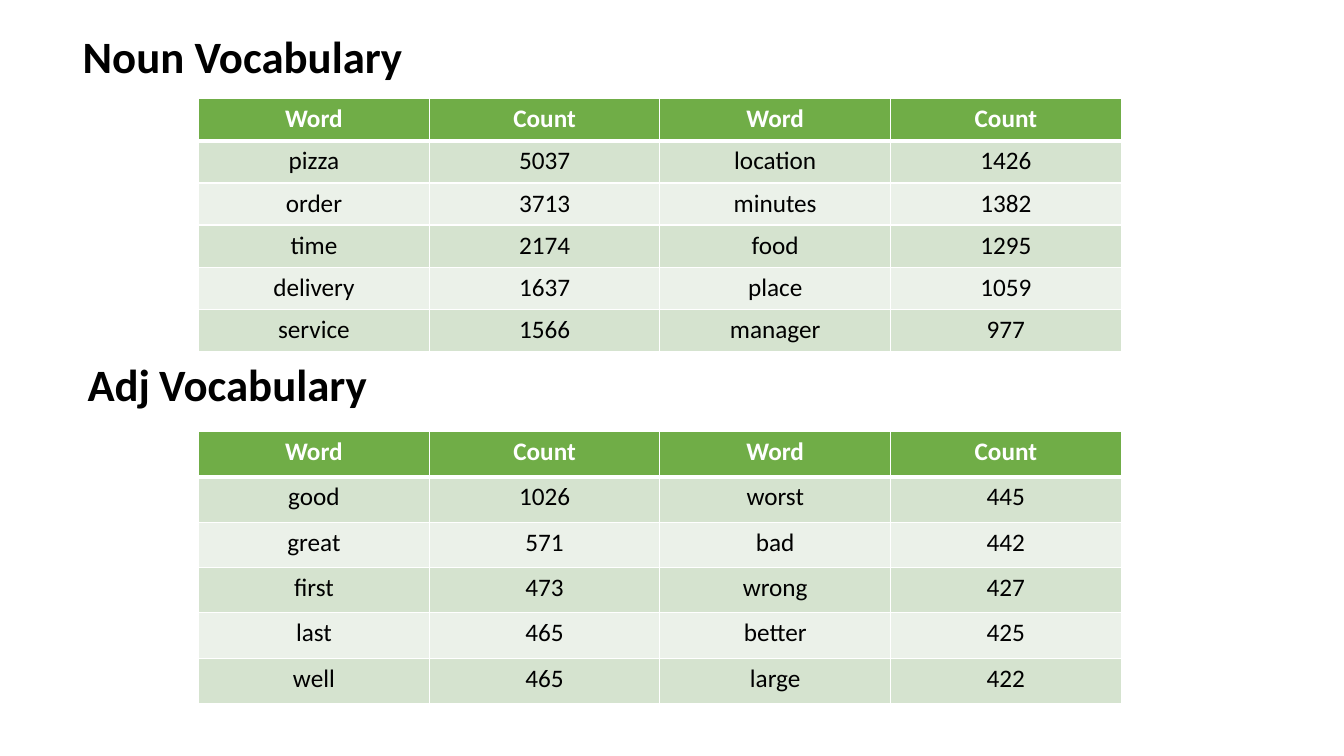
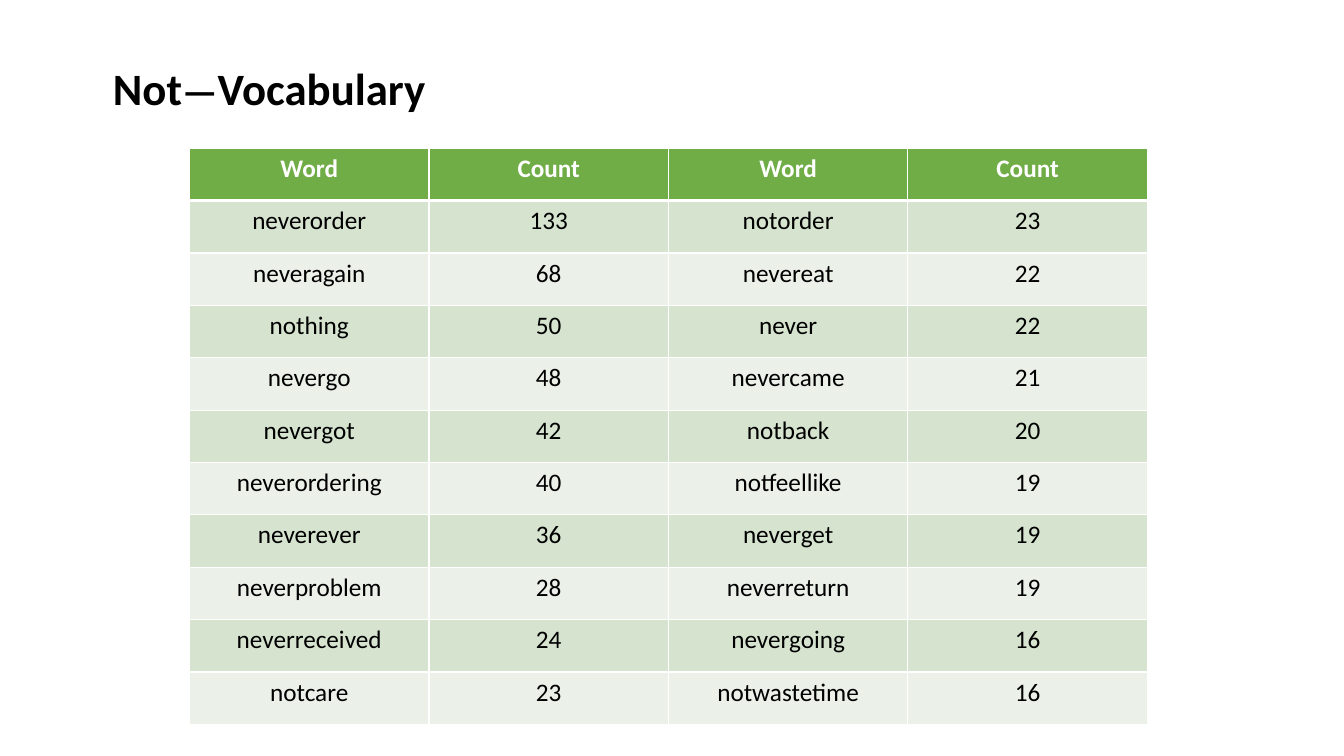
from lxml import etree
from pptx import Presentation
from pptx.dml.color import RGBColor
from pptx.enum import text
from pptx.oxml import ns
from pptx.util import Inches, Pt

COLORS = {
    "header": "70AD47",
    "band_dark": "D5E3CF",
    "band_light": "EBF1E9",
    "white": "FFFFFF",
    "black": "000000",
}
FONT = "Calibri"
COLUMNS = ("Word", "Count", "Word", "Count")

NOUNS = [
    ("pizza", 5037, "location", 1426),
    ("order", 3713, "minutes", 1382),
    ("time", 2174, "food", 1295),
    ("delivery", 1637, "place", 1059),
    ("service", 1566, "manager", 977),
]
ADJECTIVES = [
    ("good", 1026, "worst", 445),
    ("great", 571, "bad", 442),
    ("first", 473, "wrong", 427),
    ("last", 465, "better", 425),
    ("well", 465, "large", 422),
]
NEGATIONS = [
    ("neverorder", 133, "notorder", 23),
    ("neveragain", 68, "nevereat", 22),
    ("nothing", 50, "never", 22),
    ("nevergo", 48, "nevercame", 21),
    ("nevergot", 42, "notback", 20),
    ("neverordering", 40, "notfeellike", 19),
    ("neverever", 36, "neverget", 19),
    ("neverproblem", 28, "neverreturn", 19),
    ("neverreceived", 24, "nevergoing", 16),
    ("notcare", 23, "notwastetime", 16),
]


class Deck:
    """Shared style and the slide being built."""

    def __init__(self):
        self.prs = Presentation()
        self.prs.slide_width = Inches(13.33)
        self.prs.slide_height = Inches(7.5)
        self.s = None

    def new_slide(self):
        self.s = self.prs.slides.add_slide(self.prs.slide_layouts[5])

    def style(self, r, size, color, bold):
        r.font.name = FONT
        r.font.size = Pt(size)
        r.font.bold = bold
        r.font.color.rgb = RGBColor.from_string(COLORS[color])

    def heading(self, sp, pieces, left, top):
        """Place a heading made of (text, size) pieces."""
        sp.left, sp.top = Inches(left), Inches(top)
        sp.width, sp.height = Inches(3.83), Inches(0.64)
        tf = sp.text_frame
        tf.word_wrap = True
        tf.auto_size = text.MSO_AUTO_SIZE.SHAPE_TO_FIT_TEXT
        tf.vertical_anchor = text.MSO_ANCHOR.TOP
        p = tf.paragraphs[0]
        p.alignment = text.PP_ALIGN.LEFT
        for words, size in pieces:
            r = p.add_run()
            r.text = words
            self.style(r, size, "black", True)

    def title(self, pieces, left, top):
        self.heading(self.s.shapes.title, pieces, left, top)

    def subtitle(self, pieces, left, top):
        sp = self.s.shapes.add_textbox(0, 0, Inches(1), Inches(1))
        self.heading(sp, pieces, left, top)

    def borders(self, cell, top, bottom):
        tc_pr = cell._tc.get_or_add_tcPr()
        for side, width in (("L", 1), ("R", 1), ("T", top), ("B", bottom)):
            ln = etree.SubElement(tc_pr, ns.qn("a:ln" + side), w=str(Pt(width)))
            fill = etree.SubElement(ln, ns.qn("a:solidFill"))
            etree.SubElement(fill, ns.qn("a:srgbClr"), val=COLORS["white"])

    def table(self, rows, left, top, width, row_height):
        rows = [COLUMNS, *rows]
        tbl = self.s.shapes.add_table(
            len(rows), len(COLUMNS), Inches(left), Inches(top),
            Inches(width), Inches(row_height * len(rows))).table
        for i, values in enumerate(rows):
            header = i == 0
            band = "header" if header else "band_dark" if i % 2 else "band_light"
            for j, value in enumerate(values):
                cell = tbl.cell(i, j)
                # The rule under the header is thicker
                self.borders(cell, 3 if i == 1 else 1, 3 if header else 1)
                cell.fill.solid()
                cell.fill.fore_color.rgb = RGBColor.from_string(COLORS[band])
                cell.text_frame.text = str(value)
                p = cell.text_frame.paragraphs[0]
                p.alignment = text.PP_ALIGN.CENTER
                self.style(p.runs[0], 18, "white" if header else "black", header)


def main():
    deck = Deck()

    # Nouns and adjectives
    deck.new_slide()
    deck.title([("Noun Vocabulary", 32)], 0.72, 0.23)
    deck.table(NOUNS, 1.97, 0.98, 9.15, 0.418)
    deck.subtitle([("Adj", 32), (" ", 28), ("Vocabulary", 32)], 0.77, 3.49)
    deck.table(ADJECTIVES, 1.97, 4.28, 9.15, 0.45)

    # Negations
    deck.new_slide()
    deck.title([("Not", 32), ("—", 28), ("Vocabulary", 32)], 1.02, 0.55)
    deck.table(NEGATIONS, 1.88, 1.47, 9.5, 0.52)

    deck.prs.save("out.pptx")


if __name__ == "__main__":
    main()
